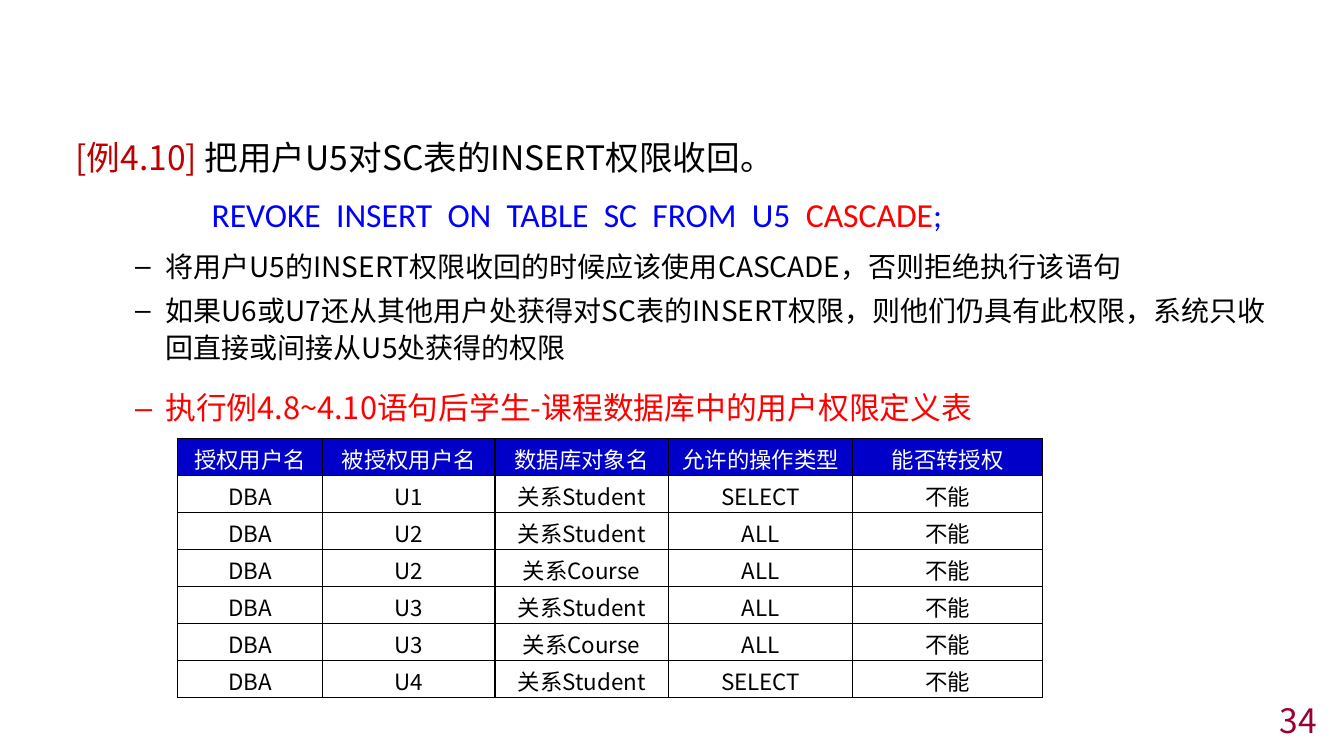
from lxml import etree
from pptx import Presentation
from pptx import util as u
from pptx.dml.color import RGBColor
from pptx.enum import text
from pptx.oxml.ns import qn

THEME = {
    "cjk": "Noto Sans CJK SC", "latin": "Calibri",
    "black": "000000", "white": "FFFFFF", "label": "C00000", "red": "FF0000",
    "sql": "0000FF", "number": "990033", "header": "0000C8",
    "lead": 24, "bullet": 20, "caption": 22, "cell": 16,
}
BODY = [
    {"runs": [("[例4.10] ", "label"), ("把用户U5对SC表的INSERT权限收回。", "black")],
     "size": "lead", "line": 34, "before": 0, "bullet": False},
    {"runs": [("将用户U5的INSERT权限收回的时候应该使用CASCADE，否则拒绝执行该语句", "black")],
     "size": "bullet", "line": 27, "before": 48, "bullet": True},
    {"runs": [("如果U6或U7还从其他用户处获得对SC表的INSERT权限，则他们仍具有此权限，"
               "系统只收回直接或间接从U5处获得的权限", "black")],
     "size": "bullet", "line": 27, "before": 4.4, "bullet": True},
    {"runs": [("执行例4.8~4.10语句后学生-课程数据库中的用户权限定义表", "red")],
     "size": "caption", "line": 30, "before": 14, "bullet": True},
]
STATEMENT = [("REVOKE  INSERT  ON  TABLE  SC  FROM  U5  ", "sql"), ("CASCADE", "red"), (";", "sql")]
PAGE = [("34", "number")]
GRANTS = [
    ("授权用户名", "被授权用户名", "数据库对象名", "允许的操作类型", "能否转授权"),
    ("DBA", "U1", "关系Student", "SELECT", "不能"),
    ("DBA", "U2", "关系Student", "ALL", "不能"),
    ("DBA", "U2", "关系Course", "ALL", "不能"),
    ("DBA", "U3", "关系Student", "ALL", "不能"),
    ("DBA", "U3", "关系Course", "ALL", "不能"),
    ("DBA", "U4", "关系Student", "SELECT", "不能"),
]
COLUMNS = [1.44, 1.71, 1.72, 1.83, 1.88]
TABLE_BOX = (1.76, 4.35, sum(COLUMNS), 2.57)


def inches(box):
    return [u.Inches(v) for v in box]


def apply(obj, values):
    for name, value in values.items():
        setattr(obj, name, value)


def add_runs(p, runs, size, font="cjk"):
    for words, color in runs:
        r = p.add_run()
        r.text = words
        apply(r.font, {"size": u.Pt(THEME[size]), "name": THEME[font]})
        r.font.color.rgb = RGBColor.from_string(THEME[color])
        ea = etree.SubElement(r.font._element, qn("a:ea"))
        ea.set("typeface", THEME["cjk"])


def set_bullet(p, on):
    pPr = p._p.get_or_add_pPr()
    margin, indent = (0.89, -0.3) if on else (0, 0)
    pPr.set("marL", str(u.Inches(margin)))
    pPr.set("indent", str(u.Inches(indent)))
    if on:
        etree.SubElement(pPr, qn("a:buChar")).set("char", "–")
    else:
        etree.SubElement(pPr, qn("a:buNone"))


def fill_body(sp):
    apply(sp, dict(zip(("left", "top", "width", "height"), inches((0.65, 1.24, 12.04, 5.91)))))
    tf = sp.text_frame
    apply(tf, {"word_wrap": True, "auto_size": text.MSO_AUTO_SIZE.NONE,
               "vertical_anchor": text.MSO_ANCHOR.TOP})
    for i, item in enumerate(BODY):
        p = tf.add_paragraph() if i else tf.paragraphs[0]
        apply(p, {"level": int(item["bullet"]), "line_spacing": u.Pt(item["line"]),
                  "space_before": u.Pt(item["before"]), "space_after": u.Pt(0),
                  "alignment": text.PP_ALIGN.LEFT})
        set_bullet(p, item["bullet"])
        add_runs(p, item["runs"], item["size"])


def add_text(s, box, runs, font, frame, paragraph):
    tf = s.shapes.add_textbox(*inches(box)).text_frame
    apply(tf, {"word_wrap": True, **frame})
    p = tf.paragraphs[0]
    apply(p, paragraph)
    add_runs(p, runs, "lead", font)


def add_borders(cell):
    tcPr = cell._tc.get_or_add_tcPr()
    for i, side in enumerate(("lnL", "lnR", "lnT", "lnB")):
        ln = etree.Element(qn(f"a:{side}"), w=str(u.Pt(1)))
        fill = etree.SubElement(ln, qn("a:solidFill"))
        etree.SubElement(fill, qn("a:srgbClr")).set("val", THEME["black"])
        tcPr.insert(i, ln)


def add_grants(s):
    table = s.shapes.add_table(len(GRANTS), len(COLUMNS), *inches(TABLE_BOX)).table
    apply(table, {"first_row": False, "horz_banding": False})
    for column, width in zip(table.columns, COLUMNS):
        column.width = u.Inches(width)
    for i, values in enumerate(GRANTS):
        table.rows[i].height = u.Inches(TABLE_BOX[3] / len(GRANTS))
        for j, value in enumerate(values):
            cell = table.cell(i, j)
            apply(cell, {"margin_left": u.Inches(0.13), "margin_right": u.Inches(0.13),
                         "margin_top": u.Inches(0.04), "margin_bottom": 0})
            if i == 0:
                cell.fill.solid()
                cell.fill.fore_color.rgb = RGBColor.from_string(THEME["header"])
            else:
                cell.fill.background()
            add_borders(cell)
            p = cell.text_frame.paragraphs[0]
            p.alignment = text.PP_ALIGN.CENTER
            add_runs(p, [(value, "black" if i else "white")], "cell")


def main():
    prs = Presentation()
    apply(prs, {"slide_width": u.Inches(13.33), "slide_height": u.Inches(7.5)})
    s = prs.slides.add_slide(prs.slide_layouts[1])
    title = s.shapes.title._element
    title.getparent().remove(title)
    fill_body(s.placeholders[1])
    add_text(s, (10.33, 6.99, 2.83, 0.31), PAGE, "cjk",
             {"vertical_anchor": text.MSO_ANCHOR.MIDDLE}, {"alignment": text.PP_ALIGN.RIGHT})
    add_text(s, (2, 1.83, 8.33, 0.52), STATEMENT, "latin",
             {"auto_size": text.MSO_AUTO_SIZE.SHAPE_TO_FIT_TEXT}, {"line_spacing": 1.1})
    add_grants(s)
    prs.save("out.pptx")


if __name__ == "__main__":
    main()
